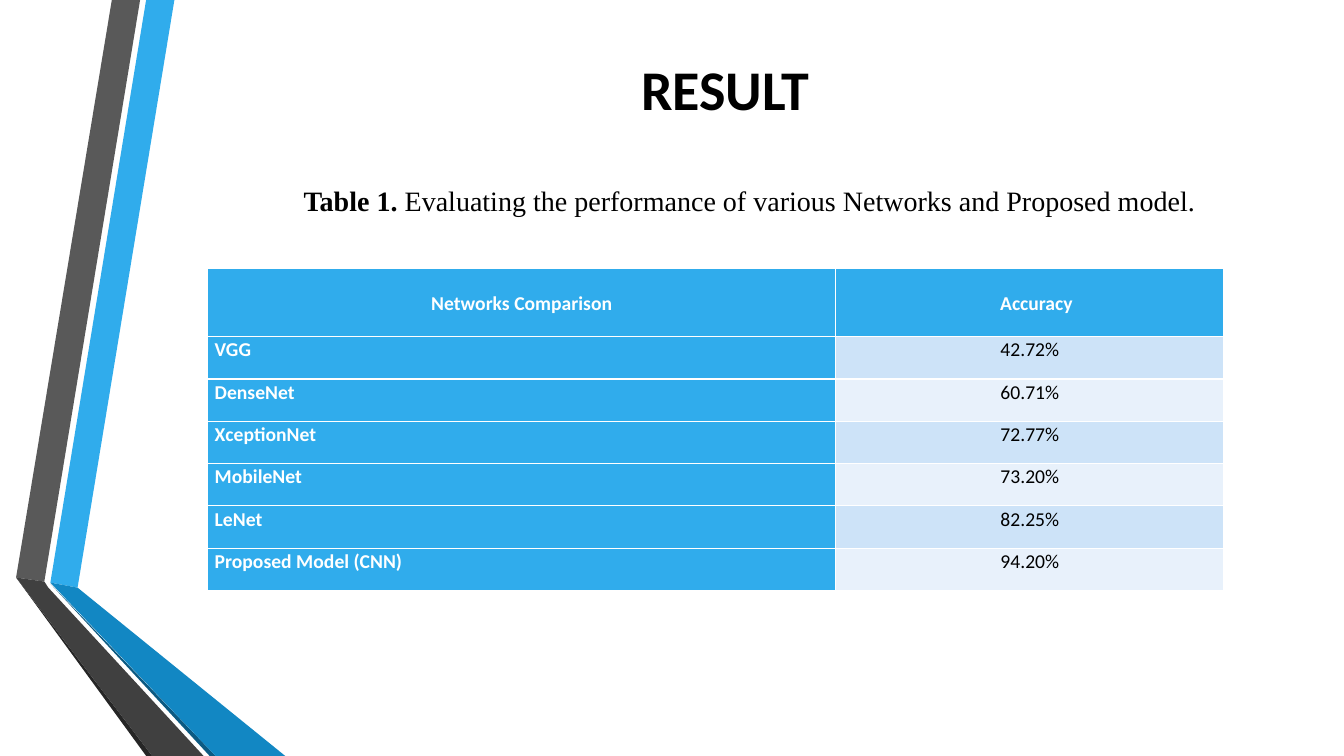
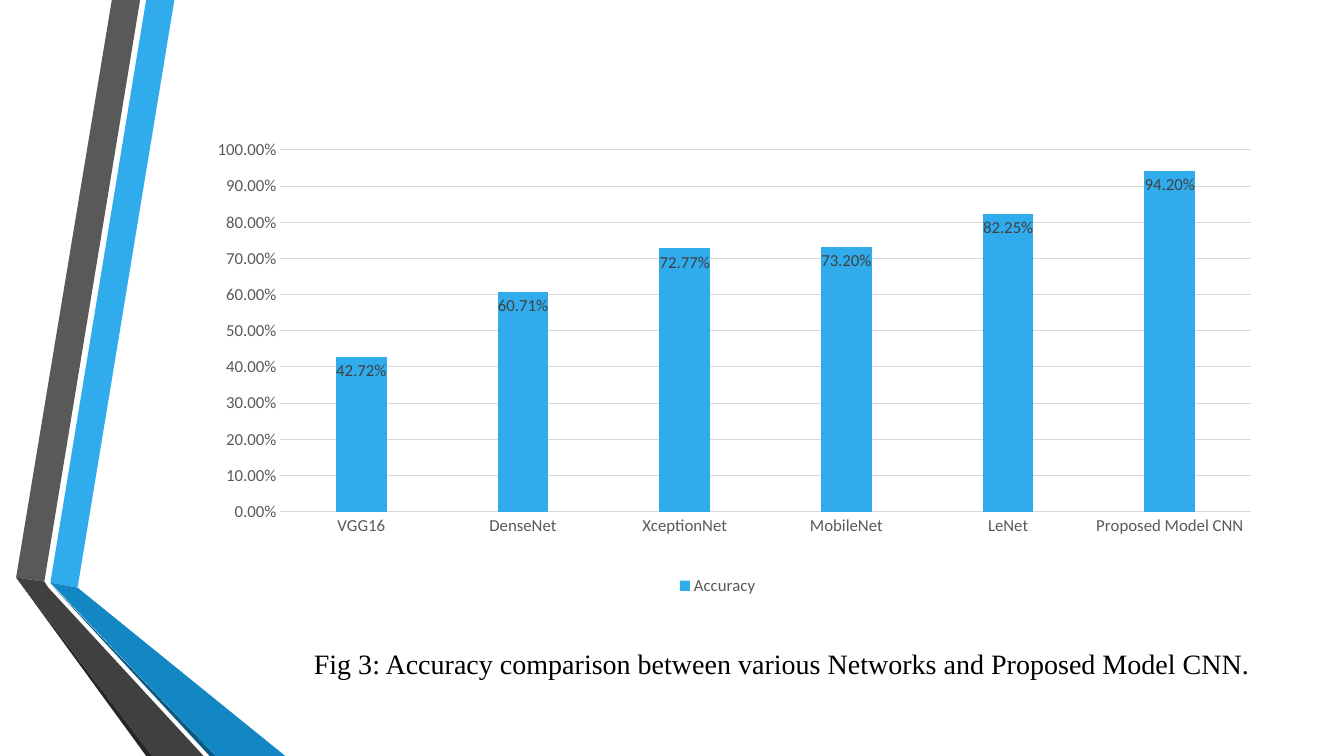
from dataclasses import dataclass

from lxml import etree
from pptx import Presentation
from pptx.chart.data import CategoryChartData
from pptx.dml.color import RGBColor
from pptx.enum import chart as chart_enum, text as text_enum
from pptx.oxml import parse_xml
from pptx.oxml.ns import nsdecls, qn
from pptx.util import Inches, Pt

WHITE = RGBColor(0xFF, 0xFF, 0xFF)
BLACK = RGBColor(0x00, 0x00, 0x00)
BLUE = RGBColor(0x30, 0xAC, 0xEC)
BLUE_SHADE = RGBColor(0x12, 0x87, 0xC3)
BLUE_DEEP = RGBColor(0x0C, 0x5A, 0x82)
GRAY = RGBColor(0x59, 0x59, 0x59)
GRAY_SHADE = RGBColor(0x40, 0x40, 0x40)
GRAY_DEEP = RGBColor(0x26, 0x26, 0x26)
GRID_GRAY = RGBColor(0xD9, 0xD9, 0xD9)
ROW_TINTS = (RGBColor(0xCD, 0xE3, 0xF8), RGBColor(0xE8, 0xF1, 0xFB))

SANS, SERIF = "Calibri", "Times New Roman"
CENTER, LEFT = text_enum.PP_ALIGN.CENTER, text_enum.PP_ALIGN.LEFT
PERCENT = "0.00%"
TITLE_ONLY, BLANK = 5, 6

TITLE_FONT = dict(name=SANS, size=Pt(40), bold=True, color=BLACK)
HEADER_FONT = dict(name=SANS, size=Pt(14), bold=True, color=WHITE)
VALUE_FONT = dict(name=SANS, size=Pt(14), bold=False, color=BLACK)
CAPTION_FONT = dict(name=SERIF, size=Pt(20), bold=False, color=BLACK)
CAPTION_BOLD = CAPTION_FONT | dict(bold=True)
AXIS_FONT = dict(name=SANS, size=Pt(12), bold=False, color=GRAY)
LABEL_FONT = AXIS_FONT | dict(color=GRAY_SHADE)


@dataclass(frozen=True)
class Ribbon:
    color: RGBColor
    points: tuple[tuple[float, float], ...]


@dataclass(frozen=True)
class Network:
    row_name: str
    chart_name: str
    accuracy: float


RIBBONS = (
    Ribbon(BLUE, ((0.5, 5.78), (0.77, 5.83), (1.73, 0), (1.45, 0))),
    Ribbon(GRAY, ((1.39, 0), (1.11, 0), (0.16, 5.73), (0.44, 5.77))),
    Ribbon(GRAY_DEEP, ((0.16, 5.73), (1.45, 7.5), (1.51, 7.5))),
    Ribbon(BLUE_DEEP, ((0.5, 5.79), (2.08, 7.5), (2.14, 7.5))),
    Ribbon(BLUE_SHADE, ((0.5, 5.78), (2.14, 7.5), (2.83, 7.5), (0.77, 5.83))),
    Ribbon(GRAY_SHADE, ((0.16, 5.73), (1.51, 7.5), (2.02, 7.5),
                        (0.48, 5.83), (0.44, 5.77))),
)

NETWORKS = (
    Network("VGG", "VGG16", 0.4272),
    Network("DenseNet", "DenseNet", 0.6071),
    Network("XceptionNet", "XceptionNet", 0.7277),
    Network("MobileNet", "MobileNet", 0.732),
    Network("LeNet", "LeNet", 0.8225),
    Network("Proposed Model (CNN)", "Proposed Model CNN", 0.942),
)


def set_format(target, values: dict) -> None:
    for name, value in values.items():
        setattr(target, name, value)


def set_font(font, values: dict) -> None:
    for name, value in values.items():
        if name == "color":
            font.color.rgb = value
        else:
            setattr(font, name, value)


def place(shape, left: float, top: float, width: float, height: float) -> None:
    set_format(shape, dict(left=Inches(left), top=Inches(top),
                           width=Inches(width), height=Inches(height)))


def add_run(paragraph, words: str, font: dict) -> None:
    run = paragraph.add_run()
    run.text = words
    set_font(run.font, font)


def add_ribbons_to_master(presentation, slide) -> None:
    """Build the ribbons on a slide, then move them behind the master's text."""
    master_tree = presentation.slide_master.shapes.element
    for index, ribbon in enumerate(RIBBONS):
        start, *others = [(Inches(x), Inches(y)) for x, y in ribbon.points]
        builder = slide.shapes.build_freeform(*start)
        builder.add_line_segments(others, close=True)
        shape = builder.convert_to_shape()
        shape.shadow.inherit = False
        shape.fill.solid()
        shape.fill.fore_color.rgb = ribbon.color
        shape.line.fill.background()
        master_tree.insert(2 + index, shape.element)


def add_caption(slide, box: tuple, runs: list[tuple[str, dict]], spacing: dict) -> None:
    caption = slide.shapes.add_textbox(*map(Inches, box))
    frame = caption.text_frame
    set_format(frame, dict(word_wrap=True,
                           auto_size=text_enum.MSO_AUTO_SIZE.SHAPE_TO_FIT_TEXT))
    paragraph = frame.paragraphs[0]
    set_format(paragraph, dict(alignment=CENTER) | spacing)
    for words, font in runs:
        add_run(paragraph, words, font)


def fill_cell(cell, words: str, font: dict, color: RGBColor, alignment,
              line_spacing: float = 1.07, left_inset: float = 0.07) -> None:
    cell.fill.solid()
    cell.fill.fore_color.rgb = color
    set_format(cell, dict(margin_left=Inches(left_inset), margin_right=Inches(0.07),
                          margin_top=0, margin_bottom=0))
    paragraph = cell.text_frame.paragraphs[0]
    set_format(paragraph, dict(alignment=alignment, line_spacing=line_spacing))
    add_run(paragraph, words, font)


def add_accuracy_table(slide) -> None:
    header_height, row_height = 0.68, 0.42
    frame = slide.shapes.add_table(
        len(NETWORKS) + 1, 2, Inches(2.06), Inches(2.66), Inches(10.08),
        Inches(header_height + row_height * len(NETWORKS)))
    table = frame.table
    table.first_col = True
    for column, width in zip(table.columns, (6.23, 3.85)):
        column.width = Inches(width)
    for index, row in enumerate(table.rows):
        row.height = Inches(row_height if index else header_height)

    fill_cell(table.cell(0, 0), "Networks Comparison", HEADER_FONT, BLUE, CENTER, 2.0)
    fill_cell(table.cell(0, 1), "Accuracy", HEADER_FONT, BLUE, CENTER, 2.0, 0.2)
    for index, network in enumerate(NETWORKS):
        fill_cell(table.cell(index + 1, 0), network.row_name, HEADER_FONT, BLUE, LEFT)
        fill_cell(table.cell(index + 1, 1), f"{network.accuracy:.2%}", VALUE_FONT,
                  ROW_TINTS[index % 2], CENTER)


def set_plot_layout(chart, left: float, top: float, width: float, height: float) -> None:
    """Fix the inner plot area, in fractions of the chart."""
    plot_area = chart.element.find(".//" + qn("c:plotArea"))
    for old_layout in plot_area.findall(qn("c:layout")):
        plot_area.remove(old_layout)
    layout = parse_xml(f"<c:layout {nsdecls('c')}><c:manualLayout/></c:layout>")
    settings = dict(layoutTarget="inner", xMode="edge", yMode="edge",
                    x=left, y=top, w=width, h=height)
    for name, value in settings.items():
        etree.SubElement(layout[0], qn(f"c:{name}")).set("val", str(value))
    plot_area.insert(0, layout)


def format_line(line, color: RGBColor) -> None:
    line.color.rgb = color
    line.width = Pt(0.75)


def add_accuracy_chart(slide) -> None:
    data = CategoryChartData(number_format=PERCENT)
    data.categories = [network.chart_name for network in NETWORKS]
    data.add_series("Accuracy", [network.accuracy for network in NETWORKS])
    frame = slide.shapes.add_chart(
        chart_enum.XL_CHART_TYPE.COLUMN_CLUSTERED,
        Inches(1.83), Inches(0.82), Inches(10.58), Inches(5.13), data)
    chart = frame.chart
    set_format(chart, dict(has_title=False, has_legend=True))
    set_font(chart.font, dict(name=SANS, size=Pt(10), color=BLACK))
    set_format(chart.legend, dict(position=chart_enum.XL_LEGEND_POSITION.BOTTOM,
                                  include_in_layout=False))
    set_font(chart.legend.font, AXIS_FONT)

    for axis in (chart.category_axis, chart.value_axis):
        set_format(axis, dict(major_tick_mark=chart_enum.XL_TICK_MARK.NONE,
                              minor_tick_mark=chart_enum.XL_TICK_MARK.NONE))
        set_font(axis.tick_labels.font, AXIS_FONT)
    format_line(chart.category_axis.format.line, GRID_GRAY)
    value_axis = chart.value_axis
    set_format(value_axis, dict(minimum_scale=0, maximum_scale=1, major_unit=0.1))
    set_format(value_axis.tick_labels, dict(number_format=PERCENT,
                                            number_format_is_linked=False))
    value_axis.format.line.fill.background()
    format_line(value_axis.major_gridlines.format.line, GRID_GRAY)

    plot = chart.plots[0]
    set_format(plot, dict(gap_width=219, overlap=-27, vary_by_categories=False))
    series = plot.series[0]
    series.format.fill.solid()
    series.format.fill.fore_color.rgb = BLUE
    set_format(series.data_labels, dict(
        show_value=True, position=chart_enum.XL_LABEL_POSITION.INSIDE_END,
        number_format=PERCENT, number_format_is_linked=False))
    set_font(series.data_labels.font, LABEL_FONT)
    set_plot_layout(chart, 0.09, 0.13, 0.91, 0.7)


def build_table_slide(slide) -> None:
    title = slide.shapes.title
    place(title, 3.62, 0.45, 7.15, 0.85)
    title.text_frame.vertical_anchor = text_enum.MSO_ANCHOR.MIDDLE
    paragraph = title.text_frame.paragraphs[0]
    paragraph.alignment = CENTER
    add_run(paragraph, "RESULT", TITLE_FONT)
    add_accuracy_table(slide)
    add_caption(
        slide, (2.81, 1.95, 9.25, 0.26),
        [("Table 1.", CAPTION_BOLD),
         (" Evaluating the performance of various Networks and Proposed model.",
          CAPTION_FONT)],
        dict(line_spacing=Pt(11), space_before=Pt(12), space_after=Pt(6)))


def build_chart_slide(slide) -> None:
    add_accuracy_chart(slide)
    add_caption(
        slide, (2.95, 6.2, 9.61, 0.61),
        [("Fig 3: Accuracy comparison between various Networks and Proposed Model CNN.",
          CAPTION_FONT)],
        dict(line_spacing=1.5, space_after=Pt(19.8)))


def main() -> None:
    presentation = Presentation()
    set_format(presentation, dict(slide_width=Inches(13.33), slide_height=Inches(7.5)))
    layouts = presentation.slide_layouts
    table_slide = presentation.slides.add_slide(layouts[TITLE_ONLY])
    add_ribbons_to_master(presentation, table_slide)
    build_table_slide(table_slide)
    build_chart_slide(presentation.slides.add_slide(layouts[BLANK]))
    presentation.save("out.pptx")


if __name__ == "__main__":
    main()
